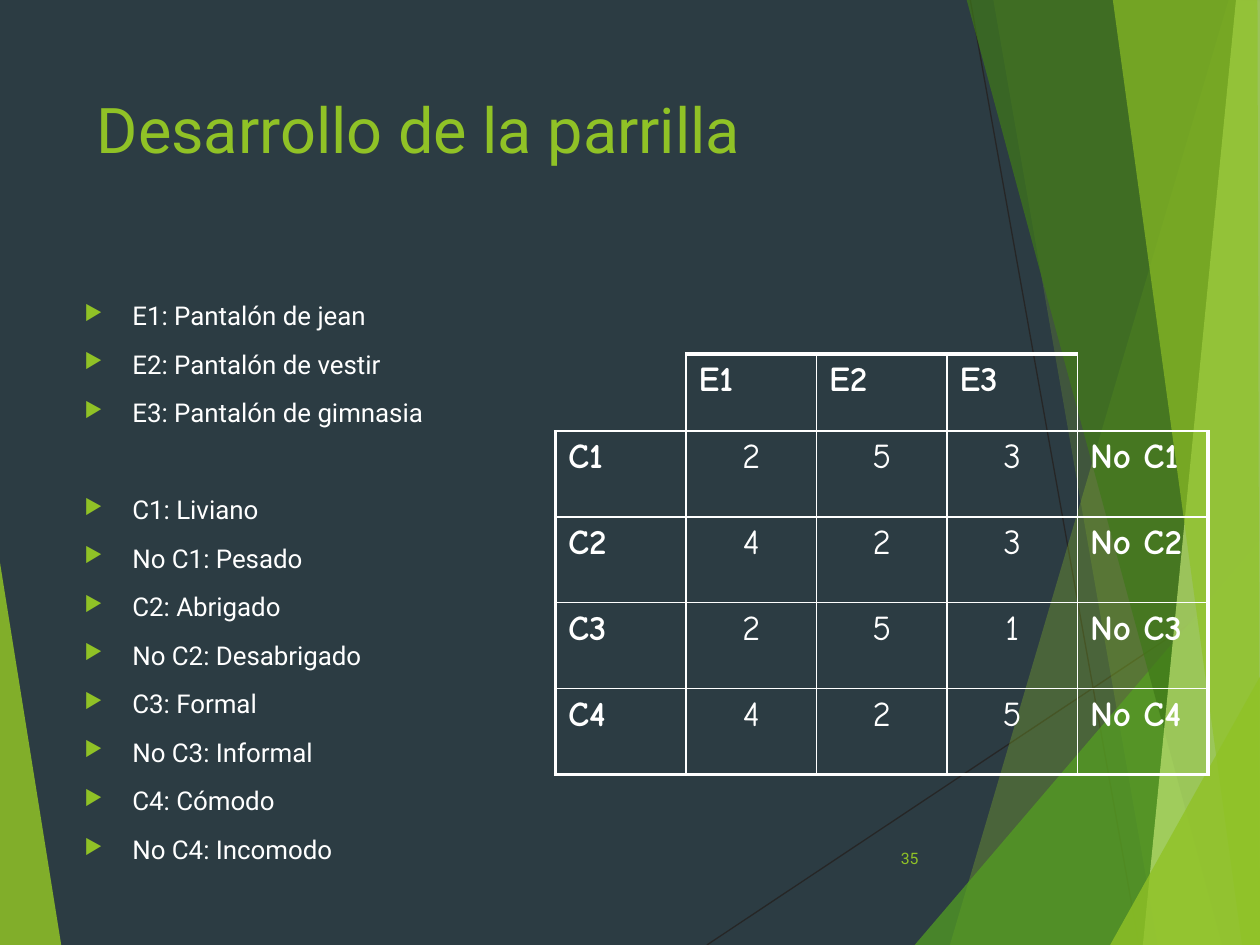
from lxml.etree import SubElement
from pptx import Presentation
from pptx.dml.color import RGBColor as RGB
from pptx.enum.shapes import MSO_CONNECTOR as Conn
from pptx.enum.text import MSO_ANCHOR as Anchor, PP_ALIGN as Align
from pptx.oxml import parse_xml
from pptx.oxml.ns import nsdecls, qn
from pptx.util import Cm, Pt

# Content
TITLE = "Desarrollo de la parrilla"
PAGE = "35"
GROUPS = [
    ["E1: Pantalón de jean", "E2: Pantalón de vestir", "E3: Pantalón de gimnasia"],
    ["C1: Liviano", "No C1: Pesado", "C2: Abrigado", "No C2: Desabrigado",
     "C3: Formal", "No C3: Informal", "C4: Cómodo", "No C4: Incomodo"],
]
HEADS = ["E1", "E2", "E3"]
SCORES = [[2, 5, 3], [4, 2, 3], [2, 5, 1], [4, 2, 5]]
GRID = [["", *HEADS, ""]] + [
    [f"C{n}", *map(str, row), f"No C{n}"] for n, row in enumerate(SCORES, 1)]

# Colours, and decoration in cm: corner points, fill, opacity in percent
GREEN, WHITE, DARK, BACK = "90C226", "FFFFFF", "262626", "2C3C43"
W, H = 25.4, 19.05
EDGE, TOP = 25.43, -0.03
RAYS = [((14.25, H), (EDGE, 11.61)), ((19.56, 0), (22.96, H))]
BANDS = [
    ([(TOP, 11.15), (1.24, 19.08), (TOP, H)], GREEN, 85),
    ([(24.77, 0), (19.15, H), (25.45, 19.08), (EDGE, 0.03)], GREEN, 30),
    ([(20.02, TOP), (23.34, H), (EDGE, H), (EDGE, TOP)], GREEN, 20),
    ([(18.44, H), (W, 10.9), (EDGE, H)], "54A021", 72),
    ([(19.48, TOP), (24.64, H), (EDGE, H), (EDGE, TOP)], "3F7819", 70),
    ([(24.92, TOP), (23.04, H), (EDGE, H), (W, TOP)], "C0E474", 70),
    ([(22.43, TOP), (25.04, H), (W, H), (25.35, TOP)], GREEN, 65),
    ([(22.38, H), (EDGE, 13.59), (EDGE, H)], GREEN, 80),
]


def paint(fill, hue):
    fill.solid()
    fill.fore_color.rgb = RGB.from_string(hue)


def style(para, size, font, hue, bold=False):
    for run in para.runs:
        run.font.size, run.font.name, run.font.bold = Pt(size), font, bold
        run.font.color.rgb = RGB.from_string(hue)


def add_box(x, y, w, h):
    frame = slide.shapes.add_textbox(Cm(x), Cm(y), Cm(w), Cm(h)).text_frame
    frame.word_wrap = True
    return frame


def add_bullet(para):
    props = para._p.get_or_add_pPr()
    props.set("marL", str(Cm(0.97)))
    props.set("indent", str(-Cm(0.97)))
    hue = SubElement(props, qn("a:buClr"))
    SubElement(hue, qn("a:srgbClr"), val=GREEN)
    SubElement(props, qn("a:buSzPct"), val="80000")
    SubElement(props, qn("a:buChar"), char="▶")


def set_edges(cell, widths):
    props = cell._tc.get_or_add_tcPr()
    for n, (side, width) in enumerate(zip("LRTB", widths)):
        ink = f'<a:solidFill><a:srgbClr val="{WHITE}"/></a:solidFill>' if width else "<a:noFill/>"
        props.insert(n, parse_xml(
            f'<a:ln{side} {nsdecls("a")} w="{Pt(width)}">{ink}</a:ln{side}>'))


deck = Presentation()
deck.slide_width, deck.slide_height = Cm(W), Cm(H)
slide = deck.slides.add_slide(deck.slide_layouts[6])
paint(slide.background.fill, BACK)

# Thin rays and translucent bands
for start, end in RAYS:
    ray = slide.shapes.add_connector(Conn.STRAIGHT, *map(Cm, start + end))
    paint(ray.line.fill, DARK)
    ray.line.width = Pt(0.75)
    SubElement(ray._element.spPr, qn("a:effectLst"))

for points, hue, alpha in BANDS:
    first, *rest = [(Cm(x), Cm(y)) for x, y in points]
    path = slide.shapes.build_freeform(*first)
    path.add_line_segments(rest, close=True)
    band = path.convert_to_shape()
    band.shadow.inherit = False
    band.line.fill.background()
    paint(band.fill, hue)
    tint = band._element.spPr.find(".//" + qn("a:srgbClr"))
    SubElement(tint, qn("a:alpha"), val=str(alpha * 1000))

# Title
frame = add_box(1.7, 1.7, 17.63, 3.66)
frame.text = TITLE
style(frame.paragraphs[0], 36, "Roboto", GREEN)

# Bullet list, with a wider gap before the second group
frame = add_box(1.45, 5.92, 22.25, 10.49)
frame.text = "\n".join(line for group in GROUPS for line in group)
for n, para in enumerate(frame.paragraphs):
    para.space_before = Pt(37.5 if n == len(GROUPS[0]) else 10)
    style(para, 14.8, "Roboto", WHITE)
    add_bullet(para)

# Score grid: thick outer frame, open top corners
rows, cols = len(GRID), len(GRID[0])
COL, HEAD, ROW = 2.63, 1.55, 1.73
table = slide.shapes.add_table(rows, cols, Cm(11.2), Cm(7.14), Cm(COL * cols),
                               Cm(HEAD + ROW * (rows - 1))).table
table.first_row = table.horz_banding = False
for col in table.columns:
    col.width = Cm(COL)
for r, row in enumerate(GRID):
    table.rows[r].height = Cm(ROW if r else HEAD)
    for c, text in enumerate(row):
        cell = table.cell(r, c)
        cell.text = text
        cell.fill.background()
        para = cell.text_frame.paragraphs[0]
        inner = r > 0 and 0 < c < cols - 1
        para.alignment = Align.CENTER if inner else Align.LEFT
        style(para, 20, "Comic Neue", WHITE, not inner)
        outer = 2.25 if text else 0
        ends = (c == 0, c == cols - 1, r == 0, r == rows - 1)
        set_edges(cell, [outer if end else 1 for end in ends])

# Page number
frame = add_box(17.91, 16.79, 1.42, 1.02)
frame.vertical_anchor = Anchor.MIDDLE
frame.text = PAGE
style(frame.paragraphs[0], 9, "Roboto", GREEN)

deck.save("out.pptx")
